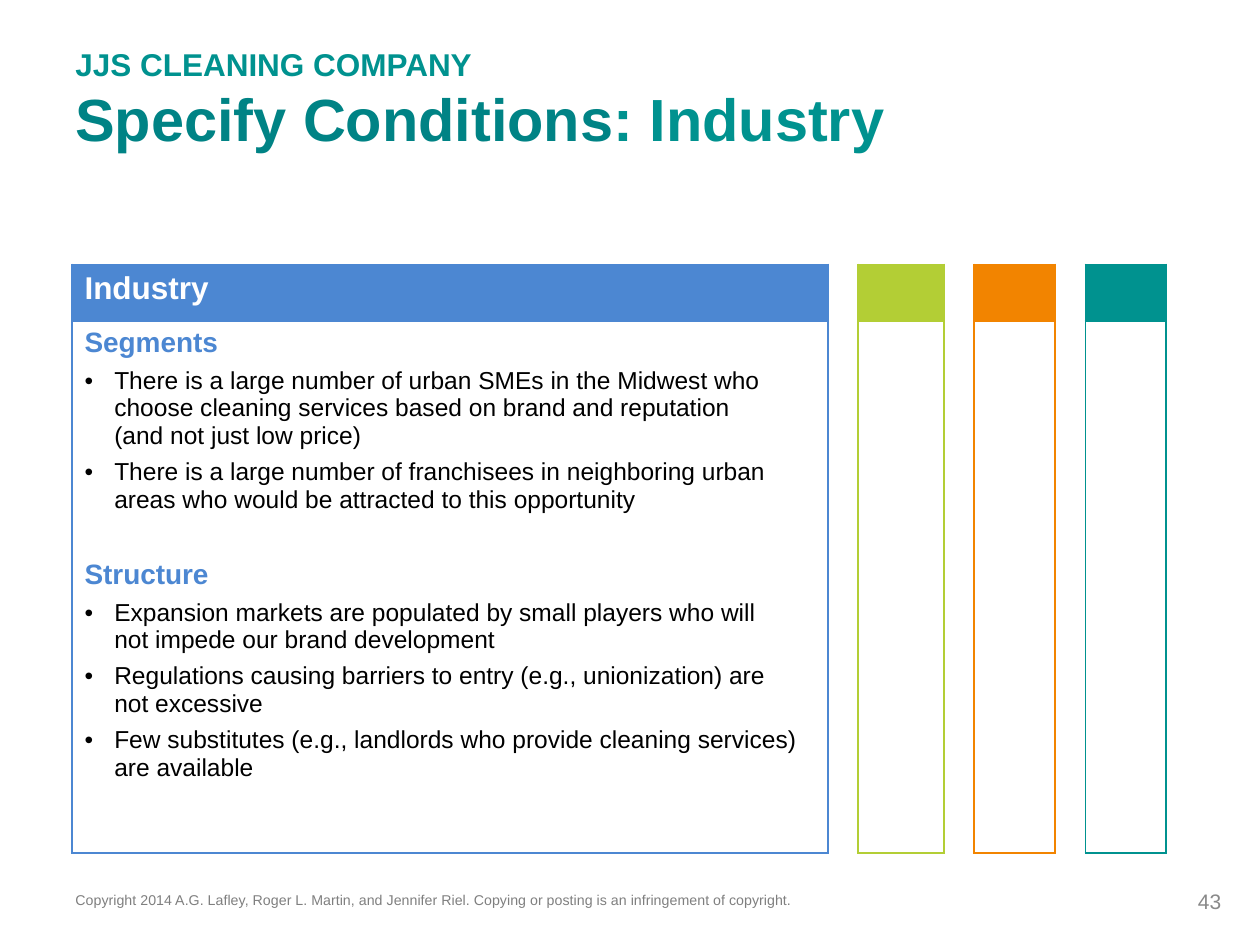
from dataclasses import dataclass

from lxml import etree
from pptx import Presentation
from pptx.dml.color import RGBColor
from pptx.enum.text import MSO_ANCHOR, PP_ALIGN
from pptx.oxml.ns import qn
from pptx.util import Cm, Pt

TOP, MIDDLE = MSO_ANCHOR.TOP, MSO_ANCHOR.MIDDLE
LEFT, RIGHT = PP_ALIGN.LEFT, PP_ALIGN.RIGHT


@dataclass(frozen=True)
class Theme:
    font: str = "Arial"
    teal: str = "00928F"
    deep: str = "008385"
    blue: str = "4C87D2"
    lime: str = "B3CE35"
    orange: str = "F28400"
    white: str = "FFFFFF"
    black: str = "000000"
    gray: str = "7F7F7F"
    pale: str = "898989"
    title: int = 34
    head: int = 18
    topic: int = 16
    body: int = 14
    page: int = 12
    border: float = 1.08
    gap: int = 5
    wide: int = 26


class Deck:
    def __init__(self, theme):
        self.theme = theme
        self.file = Presentation()
        self.file.slide_width = Cm(25.4)
        self.file.slide_height = Cm(19.05)
        self.slide = self.file.slides.add_slide(self.file.slide_layouts[6])

    def run(self, para, text, size, color, bold=False):
        run = para.add_run()
        run.text = text
        font = run.font
        font.name = self.theme.font
        font.size = Pt(size)
        font.bold = bold
        font.color.rgb = RGBColor.from_string(color)
        return run

    def box(self, left, top, width, height, anchor=TOP, align=LEFT):
        shape = self.slide.shapes.add_textbox(
            Cm(left), Cm(top), Cm(width), Cm(height))
        frame = shape.text_frame
        frame.word_wrap = True
        frame.vertical_anchor = anchor
        para = frame.paragraphs[0]
        para.alignment = align
        return para

    def bullet(self, para, text):
        props = para._p.get_or_add_pPr()
        props.set("marL", str(Cm(0.6)))
        props.set("indent", str(-Cm(0.6)))
        tint = etree.SubElement(props, qn("a:buClr"))
        etree.SubElement(tint, qn("a:srgbClr"), val=self.theme.black)
        etree.SubElement(props, qn("a:buFont"), typeface=self.theme.font)
        etree.SubElement(props, qn("a:buChar"), char="•")
        para.space_before = Pt(self.theme.gap)
        for index, line in enumerate(text.split("\n")):
            if index:
                para.add_line_break()
            self.run(para, line, self.theme.body, self.theme.black)

    def topics(self, frame, groups):
        for index, (name, points) in enumerate(groups):
            para = frame.add_paragraph() if index else frame.paragraphs[0]
            if index:
                para.space_before = Pt(self.theme.wide)
            self.run(para, name, self.theme.topic, self.theme.blue, True)
            for point in points:
                self.bullet(frame.add_paragraph(), point)

    def paint(self, cell, fill, edges):
        props = cell._tc.get_or_add_tcPr()
        for side in "LRTB":
            line = etree.SubElement(props, qn("a:ln" + side),
                                    w=str(Pt(self.theme.border)))
            if side in edges:
                solid = etree.SubElement(line, qn("a:solidFill"))
                etree.SubElement(solid, qn("a:srgbClr"), val=edges[side])
            else:
                etree.SubElement(line, qn("a:noFill"))
        cell.fill.solid()
        cell.fill.fore_color.rgb = RGBColor.from_string(fill)

    def panel(self, left, top, widths, heights, colors):
        grid = self.slide.shapes.add_table(
            len(heights), len(widths), Cm(left), Cm(top),
            Cm(sum(widths)), Cm(sum(heights))).table
        grid.first_row = grid.horz_banding = False
        for col, width in zip(grid.columns, widths):
            col.width = Cm(width)
        for row, height in zip(grid.rows, heights):
            row.height = Cm(height)
        for row in range(len(heights)):
            for col in range(len(widths)):
                color = colors[col // 2]
                if col % 2:
                    fill = self.theme.white
                    edges = {"L": color, "R": colors[col // 2 + 1]}
                else:
                    fill = self.theme.white if row else color
                    edges = dict.fromkeys("LRTB", color)
                self.paint(grid.cell(row, col), fill, edges)
        return grid

    def save(self):
        self.file.save("out.pptx")


GROUPS = [
    ("Segments", [
        "There is a large number of urban SMEs in the Midwest who choose "
        "cleaning services based on brand and reputation \n"
        "(and not just low price)",
        "There is a large number of franchisees in neighboring urban areas "
        "who would be attracted to this opportunity",
    ]),
    ("Structure", [
        "Expansion markets are populated by small players who will \n"
        "not impede our brand development",
        "Regulations causing barriers to entry (e.g., unionization) are \n"
        "not excessive",
        "Few substitutes (e.g., landlords who provide cleaning services) "
        "are available",
    ]),
]


def main():
    theme = Theme()
    deck = Deck(theme)

    title = deck.box(1.27, 0.41, 24.13, 3.18, MIDDLE)
    deck.run(title, "JJS CLEANING COMPANY", theme.head, theme.teal, True)
    title.add_line_break()
    deck.run(title, "Specify Conditions", theme.title, theme.deep, True)
    deck.run(title, ": Industry", theme.title, theme.teal, True)

    grid = deck.panel(
        1.45, 5.33, [15.24, 0.61, 1.73, 0.61, 1.63, 0.61, 1.63],
        [1.14, 10.72], [theme.blue, theme.lime, theme.orange, theme.teal])
    head = grid.cell(0, 0).text_frame.paragraphs[0]
    deck.run(head, "Industry", theme.head, theme.white, True)
    deck.topics(grid.cell(1, 0).text_frame, GROUPS)

    foot = deck.box(1.27, 17.78, 18.72, 0.86)
    note = deck.run(
        foot, "Copyright 2014 A.G. Lafley, Roger L. Martin, and Jennifer Riel. "
        "Copying or posting is an infringement of copyright.",
        theme.body, theme.gray)
    note._r.get_or_add_rPr().set("baseline", "30000")
    page = deck.box(18.95, 17.65, 5.92, 1.02, MIDDLE, RIGHT)
    deck.run(page, "43", theme.page, theme.pale)
    deck.save()


if __name__ == "__main__":
    main()
